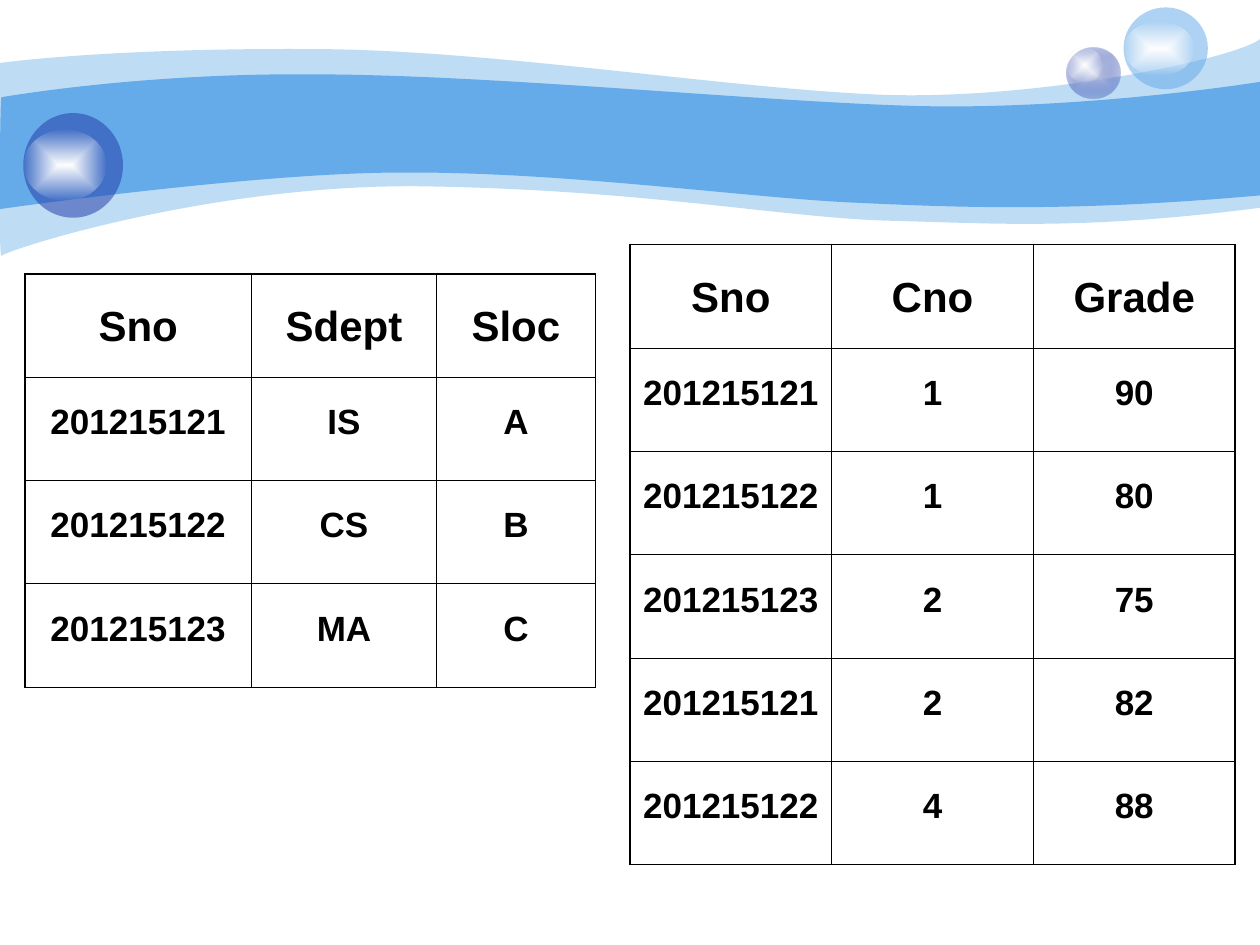
import pptx
import pptx.dml.color
import pptx.enum.shapes
import pptx.enum.text
import pptx.oxml
import pptx.oxml.ns
import pptx.util
from pptx.util import Cm

COLORS = {"sky": "65AAE9", "navy": "233DA9", "lavender": "C7CEE9",
          "white": "FFFFFF", "black": "000000"}
NAMESPACE = pptx.oxml.ns.nsdecls("a")

deck = pptx.Presentation()
deck.slide_width, deck.slide_height = Cm(25.4), Cm(19.05)
page = deck.slides.add_slide(deck.slide_layouts[6])


def paint_solid(shape, color, opacity):
    shape.fill.solid()
    shape.fill.fore_color.rgb = pptx.dml.color.RGBColor.from_string(COLORS[color])
    shape.line.fill.background()
    shape.shadow.inherit = False
    if opacity < 100:
        alpha = pptx.oxml.parse_xml(f'<a:alpha {NAMESPACE} val="{opacity * 1000}"/>')
        fill = shape._element.spPr.find(pptx.oxml.ns.qn("a:solidFill"))
        fill[0].append(alpha)


def paint_glow(shape, center, edge, edge_opacity):
    """Fill with a gradient that runs from the centre out to a translucent edge."""
    shape.line.fill.background()
    shape.shadow.inherit = False
    gradient = pptx.oxml.parse_xml(
        f'<a:gradFill {NAMESPACE} rotWithShape="1"><a:gsLst>'
        f'<a:gs pos="0"><a:srgbClr val="{COLORS[center]}"/></a:gs>'
        f'<a:gs pos="100000"><a:srgbClr val="{COLORS[edge]}">'
        f'<a:alpha val="{edge_opacity * 1000}"/></a:srgbClr></a:gs></a:gsLst>'
        '<a:path path="rect"><a:fillToRect l="50000" t="50000" r="50000" b="50000"/>'
        '</a:path></a:gradFill>')
    shape._element.spPr.insert(2, gradient)


# Waves: opacity, start point, then segments in cm; one point is a straight
# line, three points are a Bezier curve.
waves = [
    (41, (0, 1.27), [
        [(0.61, 1.19), (2.72, 0.97), (6.27, 0.99)],
        [(9.8, 0.99), (14.61, 1.78), (17.75, 1.91)],
        [(20.88, 2.03), (24.89, 1.19), (25.4, 0.79)],
        [(25.4, 4.19)],
        [(21.79, 4.65), (19.99, 4.5), (17.91, 4.45)],
        [(15.8, 4.39), (13.08, 3.84), (8.71, 3.76)],
        [(4.37, 3.66), (0.1, 5.05), (0.03, 5.16)],
        [(-0.03, 5.28), (0, 1.91), (0, 1.27)],
    ]),
    (100, (0.03, 1.96), [
        [(0.05, 1.96), (2.79, 1.47), (6.3, 1.5)],
        [(9.8, 1.5), (15.11, 2.03), (18.24, 2.13)],
        [(21.36, 2.24), (24.79, 1.75), (25.4, 1.65)],
        [(25.4, 3.94)],
        [(21.67, 4.27), (19.43, 4.19), (17.32, 4.09)],
        [(15.21, 4.01), (11.35, 3.45), (8.05, 3.48)],
        [(5.16, 3.48), (-0.05, 4.22), (-0.03, 4.22)],
        [(0, 4.22), (0, 1.96), (0.03, 1.96)],
    ]),
]
for opacity, start, segments in waves:
    builder = page.shapes.build_freeform(*map(Cm, start))
    builder.add_line_segments(
        [(Cm(x), Cm(y)) for segment in segments for x, y in segment], close=True)
    wave = builder.convert_to_shape()
    paint_solid(wave, "sky", opacity)
    # Merge each run of three line points into one Bezier curve
    lines = iter(list(wave._element.iter(pptx.oxml.ns.qn("a:lnTo"))))
    for segment in segments:
        run = [next(lines) for _ in segment]
        if len(run) == 3:
            curve = pptx.oxml.parse_xml(f"<a:cubicBezTo {NAMESPACE}/>")
            run[0].addprevious(curve)
            for line in run:
                curve.append(line[0])
                line.getparent().remove(line)

# Bubbles: colour, ball box and highlight box in cm
bubbles = [
    ("lavender", (21.51, 0.97, 1.07, 1.02), (21.51, 0.97, 0.71, 0.69)),
    ("sky", (22.65, 0.15, 1.7, 1.65), (22.65, 0.43, 1.42, 1.09)),
    ("navy", (0.47, 2.28, 2.01, 2.11), (0.47, 2.62, 1.68, 1.42)),
]
for color, ball_box, highlight_box in bubbles:
    group = page.shapes.add_group_shape()
    ball, highlight = [
        group.shapes.add_shape(pptx.enum.shapes.MSO_SHAPE.OVAL, *map(Cm, box))
        for box in (ball_box, highlight_box)]
    if color == "lavender":
        paint_glow(ball, color, "navy", 31)
    else:
        paint_solid(ball, color, 53)
    paint_glow(highlight, "white", "white", 0)

# Tables: left, top, column widths in cm, sides with a thick outer border, rows
ROW_HEIGHT = 12.5 / 6
THIN, THICK = pptx.util.Pt(0.45), pptx.util.Pt(1.08)
tables = [
    (0.5, 5.52, [4.57, 3.73, 3.2], "LT", [
        ["Sno", "Sdept", "Sloc"],
        ["201215121", "IS", "A"],
        ["201215122", "CS", "B"],
        ["201215123", "MA", "C"],
    ]),
    (12.7, 4.93, [12.2 / 3] * 3, "LRTB", [
        ["Sno", "Cno", "Grade"],
        ["201215121", "1", "90"],
        ["201215122", "1", "80"],
        ["201215123", "2", "75"],
        ["201215121", "2", "82"],
        ["201215122", "4", "88"],
    ]),
]
for left, top, widths, thick_sides, rows in tables:
    table = page.shapes.add_table(
        len(rows), len(widths), Cm(left), Cm(top),
        Cm(sum(widths)), Cm(ROW_HEIGHT * len(rows))).table
    table.first_row = table.horz_banding = False
    for column, width in zip(table.columns, widths):
        column.width = Cm(width)
    for row_index, row in enumerate(rows):
        table.rows[row_index].height = Cm(ROW_HEIGHT)
        for column_index, text in enumerate(row):
            cell = table.cell(row_index, column_index)
            cell.text = text
            cell.fill.background()
            para = cell.text_frame.paragraphs[0]
            para.alignment = pptx.enum.text.PP_ALIGN.CENTER
            para.line_spacing = 1.5
            para.font.name = "Arial"
            para.font.size = pptx.util.Pt(24 if row_index == 0 else 20)
            para.font.bold = True
            para.font.color.rgb = pptx.dml.color.RGBColor.from_string(COLORS["black"])
            on_edge = {"L": column_index == 0, "R": column_index == len(widths) - 1,
                       "T": row_index == 0, "B": row_index == len(rows) - 1}
            for position, (side, is_outer) in enumerate(on_edge.items()):
                line_width = THICK if is_outer and side in thick_sides else THIN
                border = pptx.oxml.parse_xml(
                    f'<a:ln{side} {NAMESPACE} w="{line_width}"><a:solidFill>'
                    f'<a:srgbClr val="{COLORS["black"]}"/></a:solidFill></a:ln{side}>')
                cell._tc.get_or_add_tcPr().insert(position, border)

deck.save("out.pptx")
